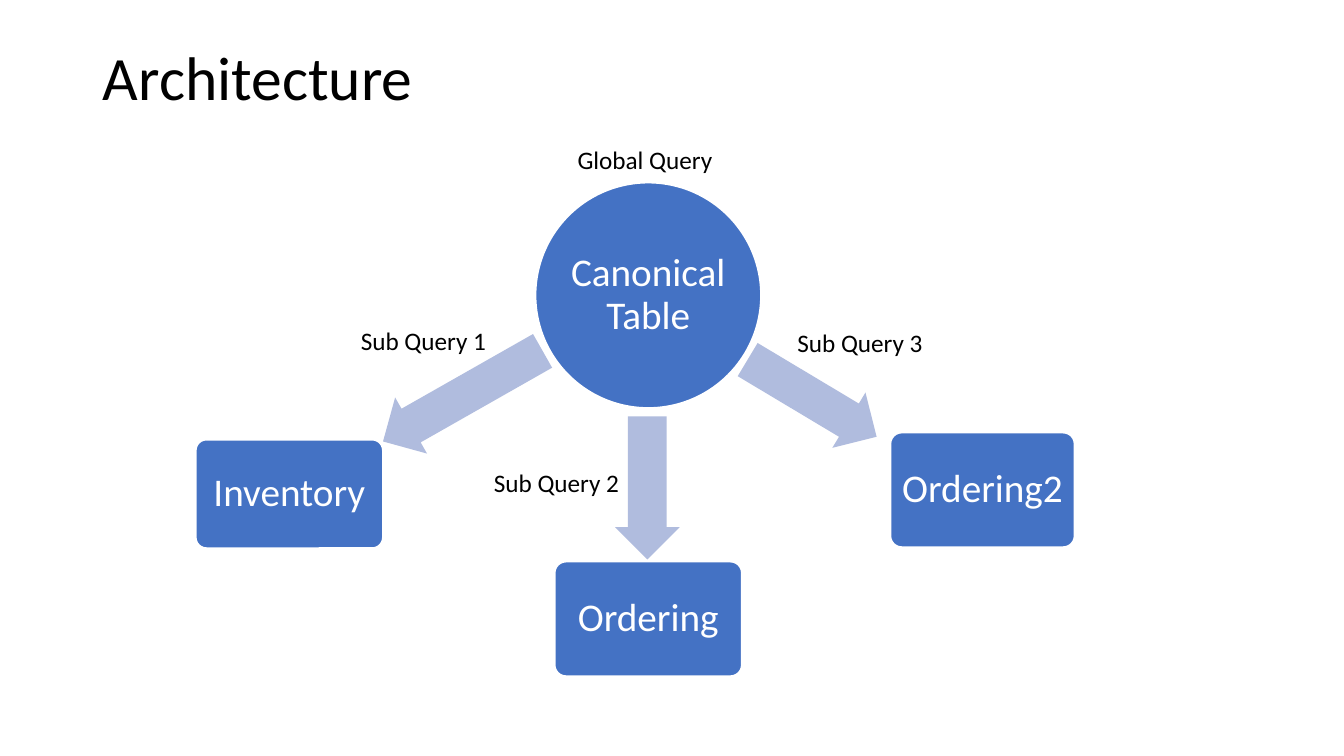
"""Build the Architecture slide: a canonical table that sends sub queries to three stores."""
from dataclasses import dataclass

from pptx import Presentation
from pptx.dml.color import RGBColor
from pptx.enum.shapes import MSO_SHAPE
from pptx.enum.text import MSO_ANCHOR, MSO_AUTO_SIZE, PP_ALIGN
from pptx.shapes.autoshape import Shape
from pptx.slide import Slide
from pptx.text.text import TextFrame
from pptx.util import Inches, Pt


@dataclass(frozen=True)
class Theme:
    font: str = "Calibri"
    black: RGBColor = RGBColor(0x00, 0x00, 0x00)
    white: RGBColor = RGBColor(0xFF, 0xFF, 0xFF)
    blue: RGBColor = RGBColor(0x44, 0x72, 0xC4)
    pale: RGBColor = RGBColor(0xB0, 0xBC, 0xDE)
    title: int = 44
    node: int = 28
    label: int = 18
    edge: float = 1.5
    spacing: float = 0.9


@dataclass(frozen=True)
class Box:
    left: float
    top: float
    width: float
    height: float


@dataclass(frozen=True)
class Node:
    text: str
    box: Box
    kind: MSO_SHAPE = MSO_SHAPE.ROUNDED_RECTANGLE
    inset: float = 0.06


@dataclass(frozen=True)
class Arrow:
    box: Box
    angle: float


@dataclass(frozen=True)
class Label:
    text: str
    box: Box
    wrap: bool = True


THEME = Theme()

NODES = [
    Node("Canonical Table", Box(5.31, 1.81, 2.24, 2.24), MSO_SHAPE.OVAL, 0.02),
    Node("Inventory", Box(1.94, 4.36, 1.86, 1.08)),
    Node("Ordering", Box(5.5, 5.57, 1.86, 1.14)),
    Node("Ordering2", Box(8.83, 4.29, 1.83, 1.14)),
]
ARROWS = [
    Arrow(Box(3.68, 3.61, 1.82, 0.64), 150.4),
    Arrow(Box(5.71, 4.52, 1.42, 0.64), 90),
    Arrow(Box(7.31, 3.63, 1.49, 0.64), 30.9),
]
LABELS = [
    Label("Global Query", Box(5.63, 1.38, 2.17, 0.4)),
    Label("Sub Query 1", Box(3.48, 3.18, 2.17, 0.4)),
    Label("Sub Query 3", Box(7.81, 3.2, 1.46, 0.4), wrap=False),
    Label("Sub Query 2", Box(4.8, 4.59, 2.04, 0.4)),
]


def place(box: Box) -> tuple[int, int, int, int]:
    return Inches(box.left), Inches(box.top), Inches(box.width), Inches(box.height)


def write(frame: TextFrame, text: str, size: int, color: RGBColor,
          align: PP_ALIGN = PP_ALIGN.LEFT, spacing: float = 1.0) -> None:
    frame.text = text
    line = frame.paragraphs[0]
    line.alignment = align
    line.line_spacing = spacing
    line.font.name = THEME.font
    line.font.size = Pt(size)
    line.font.color.rgb = color


def add_solid(slide: Slide, kind: MSO_SHAPE, box: Box, color: RGBColor) -> Shape:
    shape = slide.shapes.add_shape(kind, *place(box))
    shape.shadow.inherit = False
    shape.fill.solid()
    shape.fill.fore_color.rgb = color
    return shape


def add_title(slide: Slide, text: str, box: Box) -> None:
    title = slide.shapes.title
    title.left, title.top, title.width, title.height = place(box)
    frame = title.text_frame
    frame.auto_size = MSO_AUTO_SIZE.NONE
    frame.vertical_anchor = MSO_ANCHOR.MIDDLE
    write(frame, text, THEME.title, THEME.black, spacing=THEME.spacing)


def add_node(slide: Slide, node: Node) -> None:
    shape = add_solid(slide, node.kind, node.box, THEME.blue)
    shape.line.color.rgb = THEME.white
    shape.line.width = Pt(THEME.edge)
    if node.kind == MSO_SHAPE.ROUNDED_RECTANGLE:
        shape.adjustments[0] = 0.1
    frame = shape.text_frame
    frame.word_wrap = True
    frame.vertical_anchor = MSO_ANCHOR.MIDDLE
    frame.margin_left = frame.margin_right = Inches(node.inset)
    frame.margin_top = frame.margin_bottom = Inches(node.inset)
    write(frame, node.text, THEME.node, THEME.white, PP_ALIGN.CENTER, THEME.spacing)


def add_arrow(slide: Slide, arrow: Arrow) -> None:
    shape = add_solid(slide, MSO_SHAPE.RIGHT_ARROW, arrow.box, THEME.pale)
    shape.line.fill.background()
    shape.adjustments[0] = 0.6
    shape.adjustments[1] = 0.5
    shape.rotation = arrow.angle


def add_label(slide: Slide, label: Label) -> None:
    frame = slide.shapes.add_textbox(*place(label.box)).text_frame
    frame.word_wrap = label.wrap
    frame.auto_size = MSO_AUTO_SIZE.SHAPE_TO_FIT_TEXT
    write(frame, label.text, THEME.label, THEME.black)


def main() -> None:
    deck = Presentation()
    deck.slide_width, deck.slide_height = Inches(13.33), Inches(7.5)
    slide = deck.slides.add_slide(deck.slide_layouts[5])
    add_title(slide, "Architecture", Box(0.92, 0.4, 11.5, 0.79))
    for node in NODES:
        add_node(slide, node)
    for arrow in ARROWS:
        add_arrow(slide, arrow)
    for label in LABELS:
        add_label(slide, label)
    deck.save("out.pptx")


if __name__ == "__main__":
    main()
